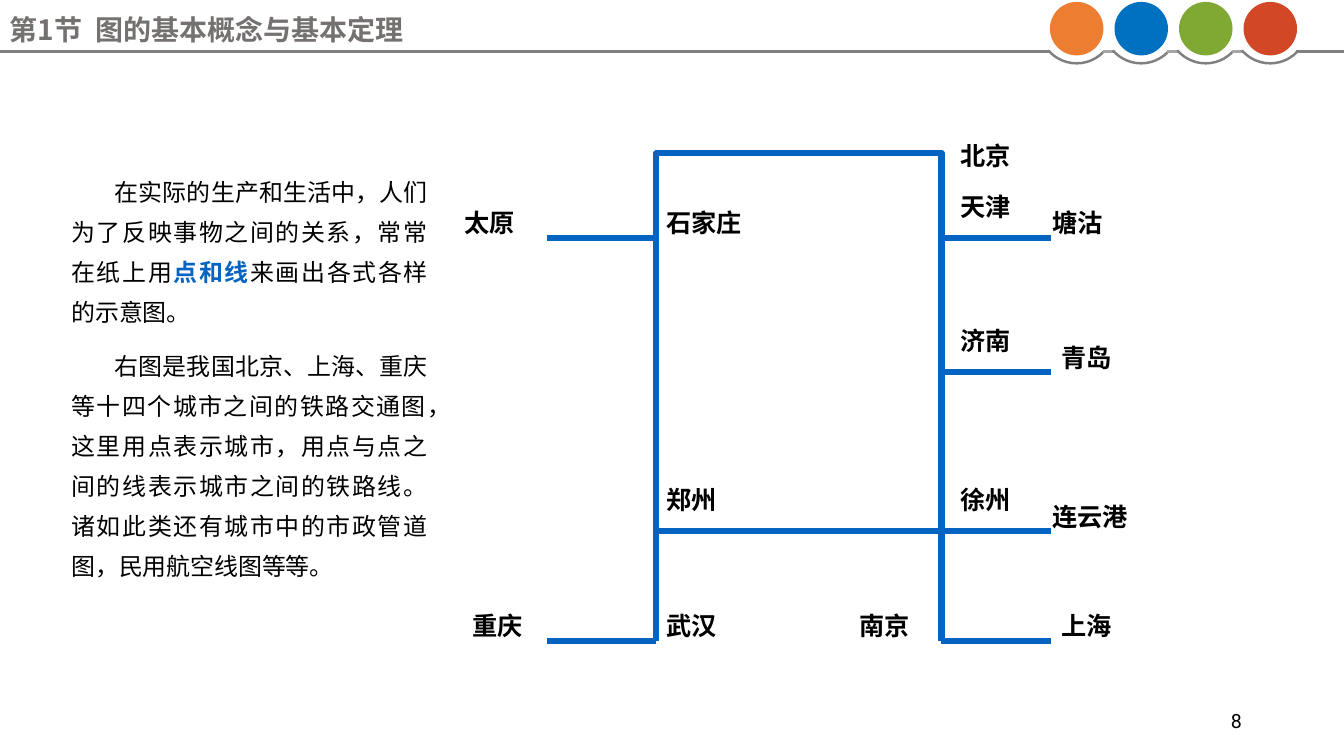
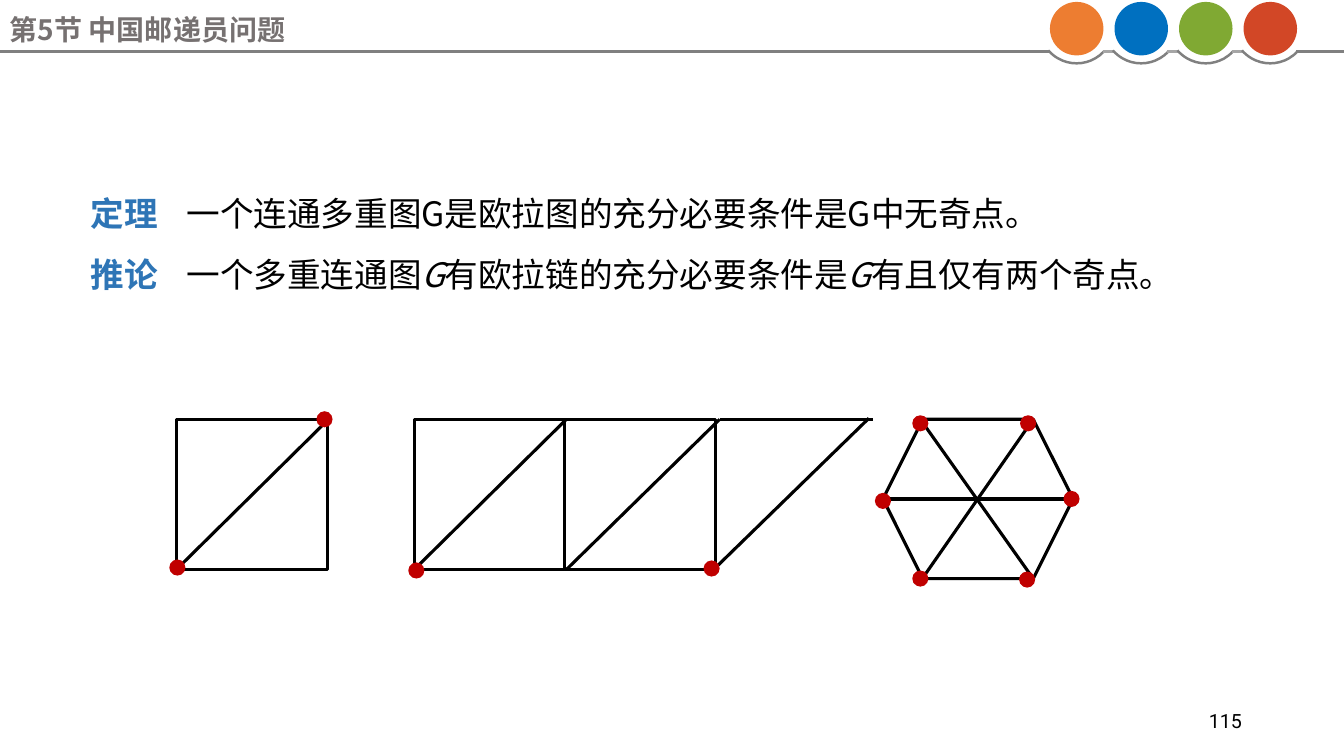
from lxml import etree
from pptx import Presentation
from pptx.dml.color import RGBColor
from pptx.enum.shapes import MSO_CONNECTOR, MSO_SHAPE
from pptx.enum.text import MSO_ANCHOR, PP_ALIGN
from pptx.oxml.ns import qn
from pptx.util import Pt

COLORS = {
    "title": "767171", "text": "000000", "rail": "0563C1", "term": "2E75B6",
    "rule": "808080", "gap": "A6A6A6", "vertex": "C00000", "paper": "FFFFFF",
    "orange": "ED7D31", "blue": "0070C0", "green": "80A933", "red": "D24726",
}
CJK, SERIF, NUMERAL = "Noto Sans CJK SC", "Times New Roman", "Roboto"


def draw_line(slide, start, end, color, width):
    line = slide.shapes.add_connector(
        MSO_CONNECTOR.STRAIGHT, *[Pt(value) for value in (*start, *end)])
    line.line.color.rgb = RGBColor.from_string(COLORS[color])
    line.line.width = Pt(width)
    etree.SubElement(line._element.spPr, qn("a:effectLst"))


def draw_shape(slide, preset, box, fill=None, color=None, width=0):
    shape = slide.shapes.add_shape(preset, *[Pt(value) for value in box])
    shape.shadow.inherit = False
    if fill:
        shape.fill.solid()
        shape.fill.fore_color.rgb = RGBColor.from_string(COLORS[fill])
    else:
        shape.fill.background()
    if color:
        shape.line.color.rgb = RGBColor.from_string(COLORS[color])
        shape.line.width = Pt(width)
    else:
        shape.line.fill.background()
    return shape


presentation = Presentation()
presentation.slide_width, presentation.slide_height = Pt(960), Pt(540)
blank = presentation.slide_layouts[6]
rail_slide = presentation.slides.add_slide(blank)
euler_slide = presentation.slides.add_slide(blank)

texts = []
RULE_Y, PITCH = 36.7, 46.1
headers = [(rail_slide, "第1节  图的基本概念与基本定理", "8"),
           (euler_slide, "第5节 中国邮递员问题", "115")]
for slide, title, number in headers:
    draw_line(slide, (0, RULE_Y), (749.5, RULE_Y), "rule", 1.77)
    draw_line(slide, (926, RULE_Y), (960, RULE_Y), "rule", 1.77)
    for index, color in enumerate(["orange", "blue", "green", "red"]):
        offset = index * PITCH
        arc = draw_shape(slide, MSO_SHAPE.ARC, (742.4 + offset, -8, 53.3, 53.3),
                         color="rule", width=1.77)
        arc.adjustments[0], arc.adjustments[1] = 25.38, 83.6
        draw_shape(slide, MSO_SHAPE.OVAL, (750 + offset, 1.4, 38.2, 38.2), color)
        if index < 3:
            draw_line(slide, (787.7 + offset, RULE_Y), (795.7 + offset, RULE_Y), "gap", 1.77)
    texts.append(dict(slide=slide, box=(0, 7.2, 789, 26), size=20, font=CJK, top=1.8,
                      paragraphs=[[(title, "title", True, False)]]))
    texts.append(dict(slide=slide, box=(678.2, 500.4, 216, 28.8), size=14, font=NUMERAL,
                      align=PP_ALIGN.RIGHT, anchor=MSO_ANCHOR.MIDDLE,
                      paragraphs=[[(number, "text", False, False)]]))

WEST, EAST, NORTH, CENTRAL, SOUTH = 468.7, 672.5, 109.4, 379.4, 457.9
WEST_END, EAST_END = 391, 751
draw_shape(rail_slide, MSO_SHAPE.RECTANGLE,
           (WEST, NORTH, EAST - WEST, CENTRAL - NORTH), color="rail", width=4.5)
for x, end, branches in [(WEST, WEST_END, [170, SOUTH]),
                         (EAST, EAST_END, [170, 265.7, CENTRAL, SOUTH])]:
    draw_line(rail_slide, (x, 332), (x, SOUTH), "rail", 4.5)
    for y in branches:
        draw_line(rail_slide, (x, y), (end, y), "rail", 4.5)

cities = [
    ("太原", 324.7, 145.4), ("重庆", 330.5, 433.4), ("武汉", WEST, 433.4),
    ("南京", 607, 433.4), ("徐州", 679, 343.4), ("连云港", 744.5, 355.7),
    ("上海", EAST_END, 433.4), ("郑州", WEST, 343.4), ("石家庄", WEST, 145.4),
    ("塘沽", 744.5, 145.4), ("青岛", EAST_END, 241.9), ("济南", 679, 229.7),
    ("天津", 679, 133.9), ("北京", 679, 97.9),
]
for city, x, y in cities:
    texts.append(dict(slide=rail_slide, box=(x, y, 114, 28.8), size=18, font=SERIF, top=2.4,
                      paragraphs=[[(city, "text", True, False)]]))

texts.append(dict(
    slide=rail_slide, box=(25.9, 115.2, 286.6, 347.8), size=17.1, font=CJK,
    align=PP_ALIGN.JUSTIFY, spacing=28.6, before=10, margin=18, indent=31,
    paragraphs=[
        [("在实际的生产和生活中，人们为了反映事物之间的关系，常常在纸上用", "text", False, False),
         ("点和线", "rail", True, False),
         ("来画出各式各样的示意图。", "text", False, False)],
        [("右图是我国北京、上海、重庆等十四个城市之间的铁路交通图，这里用点表示城市，"
          "用点与点之间的线表示城市之间的铁路线。诸如此类还有城市中的市政管道图，"
          "民用航空线图等等。", "text", False, False)],
    ]))
texts.append(dict(
    slide=euler_slide, box=(57.6, 120, 823, 87), size=24, font=CJK,
    align=PP_ALIGN.JUSTIFY, spacing=43.2, tab=68.5,
    paragraphs=[
        [("定理", "term", True, False),
         ("\t一个连通多重图G是欧拉图的充分必要条件是G中无奇点。", "text", False, False)],
        [("推论", "term", True, False),
         ("\t一个多重连通图", "text", False, False), ("G", "text", False, True),
         ("有欧拉链的充分必要条件是", "text", False, False), ("G", "text", False, True),
         ("有且仅有两个奇点。", "text", False, False)],
    ]))

TOP, BOTTOM = 299.5, 406.8
draw_shape(euler_slide, MSO_SHAPE.HEXAGON, (630.7, TOP, 135.8, 113.8), "paper", "text", 2.25)
for left, width in [(126, 108), (295.9, 107.3), (403.2, 108)]:
    draw_shape(euler_slide, MSO_SHAPE.RECTANGLE,
               (left, TOP, width, BOTTOM - TOP), "paper", "text", 2.25)
edges = [
    ((630.7, 356.4), (766.1, 356.4)), ((657.4, TOP), (738, 413.3)),
    ((658.8, 413.3), (738, TOP)), ((126, BOTTOM), (234.7, TOP)),
    ((295.9, BOTTOM), (404.6, TOP)), ((404.6, BOTTOM), (514.1, TOP)),
    ((511.2, 405.4), (620.6, 298.8)), ((514.1, TOP), (623.5, TOP)),
]
for start, end in edges:
    draw_line(euler_slide, start, end, "text", 2.25)

DOT = 11.5
vertices = [
    (231.8, 299.5), (126.7, 405.4), (508.3, 406.1), (297.4, 407.5), (657.4, 413.3),
    (765.4, 356.4), (734.4, 302.4), (657.4, 302.4), (630.7, 357.8), (733.7, 414),
]
for x, y in vertices:
    draw_shape(euler_slide, MSO_SHAPE.FLOWCHART_CONNECTOR,
               (x - DOT / 2, y - DOT / 2, DOT, DOT), "vertex")

for item in texts:
    shape = item["slide"].shapes.add_textbox(*[Pt(value) for value in item["box"]])
    frame = shape.text_frame
    frame.word_wrap = True
    frame.margin_top = Pt(item.get("top", 3.6))
    frame.vertical_anchor = item.get("anchor", MSO_ANCHOR.TOP)
    for index, runs in enumerate(item["paragraphs"]):
        paragraph = frame.add_paragraph() if index else frame.paragraphs[0]
        paragraph.alignment = item.get("align", PP_ALIGN.LEFT)
        properties = paragraph._p.get_or_add_pPr()
        if "tab" in item:
            tabs = etree.SubElement(properties, qn("a:tabLst"))
            etree.SubElement(tabs, qn("a:tab"), pos=str(Pt(item["tab"])), algn="l")
        if "indent" in item:
            properties.set("marL", str(Pt(item["margin"])))
            properties.set("indent", str(Pt(item["indent"])))
        if "spacing" in item:
            paragraph.line_spacing = Pt(item["spacing"])
        if index and "before" in item:
            paragraph.space_before = Pt(item["before"])
        for content, color, bold, italic in runs:
            run = paragraph.add_run()
            run.text = content
            run.font.size = Pt(item["size"])
            run.font.name = item["font"]
            run.font.bold, run.font.italic = bold, italic
            run.font.color.rgb = RGBColor.from_string(COLORS[color])
            etree.SubElement(run._r.get_or_add_rPr(), qn("a:ea"), typeface=CJK)

presentation.save("out.pptx")
